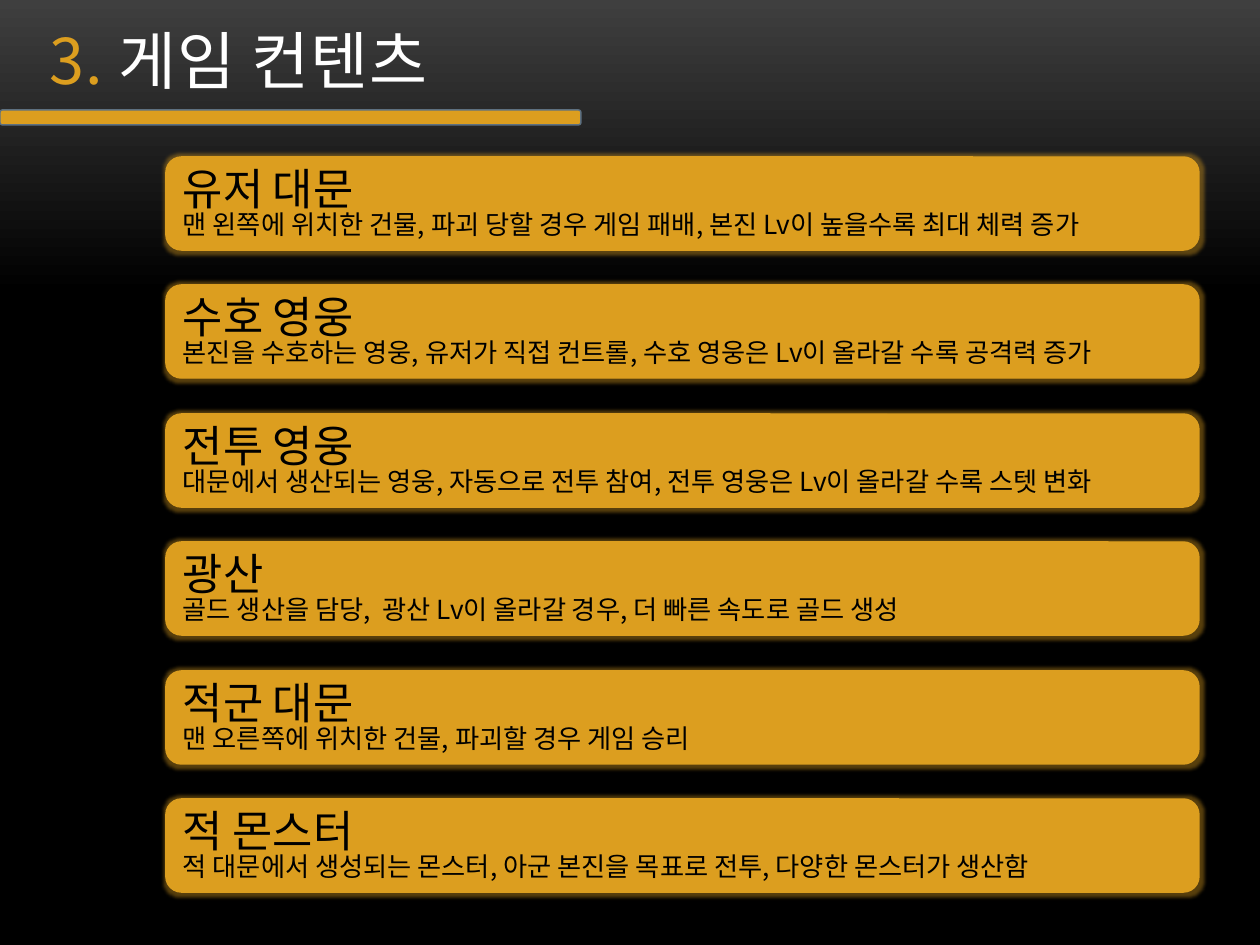
import lxml.etree
import pptx
import pptx.dml.color
import pptx.enum.shapes
import pptx.enum.text
import pptx.oxml.ns
import pptx.util

EMU_PER_PX = 914400 // 126
FONT = "Noto Sans CJK KR"
GOLD = "DC9E1F"
SECTIONS = [
    ("유저 대문", "맨 왼쪽에 위치한 건물, 파괴 당할 경우 게임 패배, 본진 Lv이 높을수록 최대 체력 증가"),
    ("수호 영웅", "본진을 수호하는 영웅, 유저가 직접 컨트롤, 수호 영웅은 Lv이 올라갈 수록 공격력 증가"),
    ("전투 영웅", "대문에서 생산되는 영웅, 자동으로 전투 참여, 전투 영웅은 Lv이 올라갈 수록 스텟 변화"),
    ("광산", "골드 생산을 담당,  광산 Lv이 올라갈 경우, 더 빠른 속도로 골드 생성"),
    ("적군 대문", "맨 오른쪽에 위치한 건물, 파괴할 경우 게임 승리"),
    ("적 몬스터", "적 대문에서 생성되는 몬스터, 아군 본진을 목표로 전투, 다양한 몬스터가 생산함"),
]


def color(value):
    return pptx.dml.color.RGBColor.from_string(value)


def add_run(paragraph, text, size, text_color):
    run = paragraph.add_run()
    run.text = text
    font_format = {"name": FONT, "size": pptx.util.Pt(size), "bold": False}
    for name, value in font_format.items():
        setattr(run.font, name, value)
    run.font.color.rgb = color(text_color)
    properties = run.font._element
    east_asian = lxml.etree.SubElement(properties, pptx.oxml.ns.qn("a:ea"))
    east_asian.set("typeface", FONT)
    return properties


presentation = pptx.Presentation()
presentation.slide_width = 1260 * EMU_PER_PX
presentation.slide_height = 945 * EMU_PER_PX
slide = presentation.slides.add_slide(presentation.slide_layouts[5])

background = slide.background.fill
background.gradient()
background.gradient_angle = 270
for stop, (position, stop_color) in zip(background.gradient_stops, [(0, "3F3F3F"), (0.31, "000000")]):
    stop.position = position
    stop.color.rgb = color(stop_color)

title = slide.shapes.title
title_place = {"left": 37, "top": 24, "width": 1086, "height": 188}
for name, value in title_place.items():
    setattr(title, name, value * EMU_PER_PX)
title.text_frame.vertical_anchor = pptx.enum.text.MSO_ANCHOR.TOP
paragraph = title.text_frame.paragraphs[0]
paragraph.alignment = pptx.enum.text.PP_ALIGN.LEFT
paragraph.line_spacing = 0.9
for text, text_color in [("3.", GOLD), (" 게임 컨텐츠", "FFFFFF")]:
    add_run(paragraph, text, 36, text_color).set("spc", "50")

bars = [(0, 110, 581, 15, "5D7080", [])]
for index, section in enumerate(SECTIONS):
    bars.append((166, 157 + round(128.4 * index), 1033, 93, GOLD, section))

for left, top, width, height, line_color, texts in bars:
    shape = slide.shapes.add_shape(
        pptx.enum.shapes.MSO_SHAPE.ROUNDED_RECTANGLE,
        *(length * EMU_PER_PX for length in (left, top, width, height)),
    )
    shape.shadow.inherit = False
    shape.fill.solid()
    shape.fill.fore_color.rgb = color(GOLD)
    shape.line.color.rgb = color(line_color)
    shape.line.width = pptx.util.Pt(0.85)
    if not texts:
        continue

    effects = shape._element.spPr.find(pptx.oxml.ns.qn("a:effectLst"))
    glow = lxml.etree.SubElement(effects, pptx.oxml.ns.qn("a:glow"), rad=str(8 * EMU_PER_PX))
    glow_color = lxml.etree.SubElement(glow, pptx.oxml.ns.qn("a:srgbClr"), val=GOLD)
    lxml.etree.SubElement(glow_color, pptx.oxml.ns.qn("a:alpha"), val="40000")

    frame = shape.text_frame
    frame.word_wrap = True
    frame.vertical_anchor = pptx.enum.text.MSO_ANCHOR.MIDDLE
    paragraphs = [frame.paragraphs[0], frame.add_paragraph()]
    for paragraph, text, size, spacing in zip(paragraphs, texts, (25, 15), (0.9, 0.8)):
        paragraph.alignment = pptx.enum.text.PP_ALIGN.LEFT
        paragraph.line_spacing = spacing
        add_run(paragraph, text, size, "000000")

presentation.save("out.pptx")
